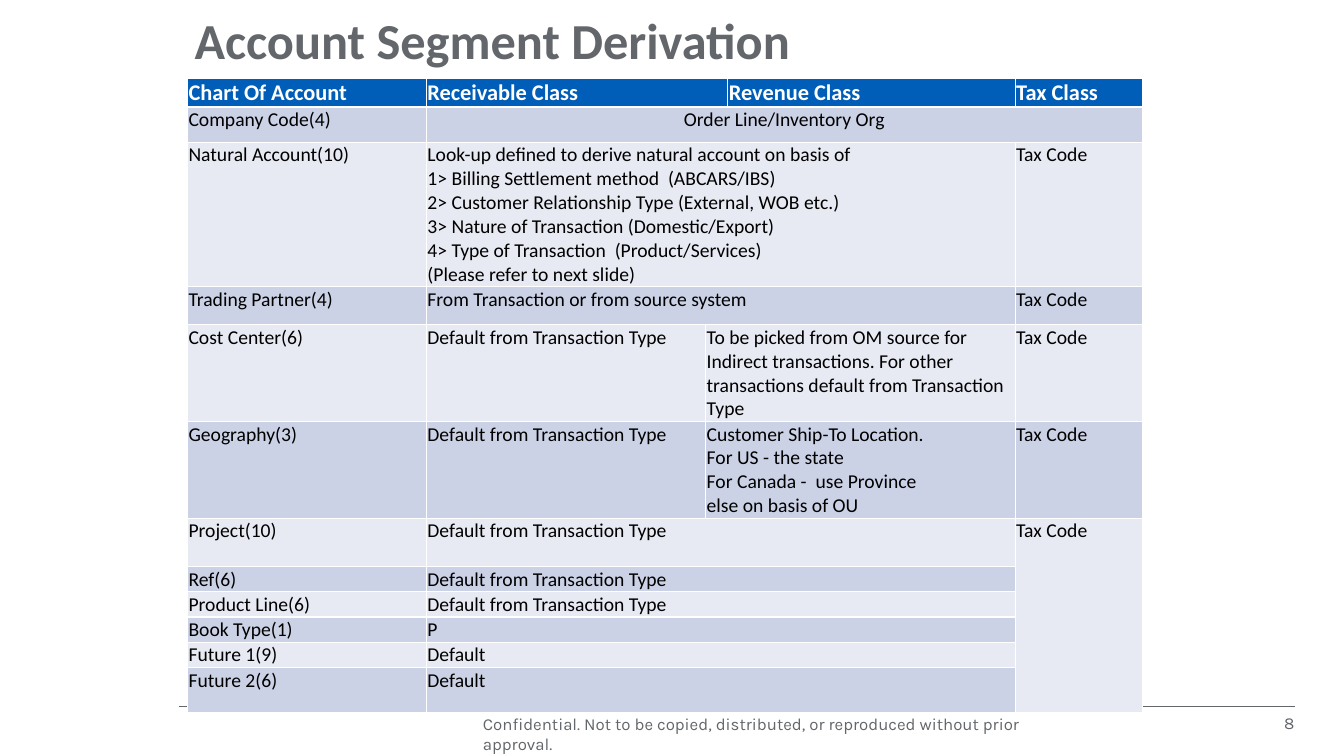
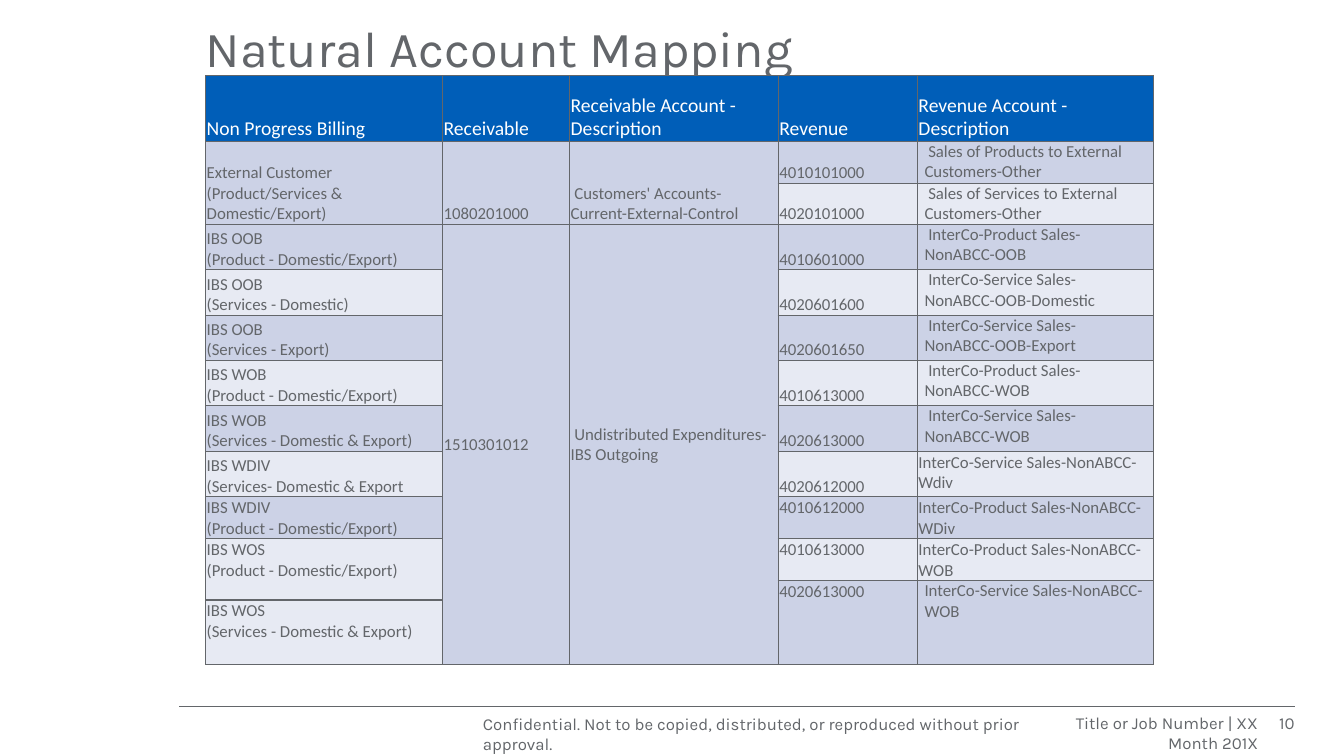
from dataclasses import dataclass, replace

from lxml import etree
from pptx import Presentation
from pptx.dml.color import RGBColor
from pptx.enum import shapes, text
from pptx.oxml import ns
from pptx.util import Pt

PX = 9144  # EMU per px, 100 px to the inch
LEFT_OF, ABOVE = "<", "^"  # cell joins the one to its left / above it


@dataclass(frozen=True)
class Theme:
    grey: str = "63666A"
    blue: str = "005EB8"
    white: str = "FFFFFF"
    black: str = "000000"
    bands: tuple = ("E7EAF3", "CCD2E6")  # even rows, odd rows
    heading: str = "Karla"
    body: str = "Calibri"
    title_size: int = 36
    large: int = 16
    medium: int = 14
    small: int = 12


THEME = Theme()


@dataclass(frozen=True)
class TextStyle:
    font: str = THEME.body
    size: int = THEME.small
    color: str = THEME.grey
    bold: bool = False
    align: text.PP_ALIGN = text.PP_ALIGN.LEFT
    anchor: text.MSO_ANCHOR = text.MSO_ANCHOR.TOP
    spacing: float = 1.0
    after: int = 0
    inset: tuple = (1, 1, 1, 0)  # left, top, right, bottom in px


FOOTER = TextStyle(font=THEME.heading, inset=(0, 0, 0, 0))
TITLE = replace(FOOTER, size=THEME.title_size, spacing=0.9, anchor=text.MSO_ANCHOR.MIDDLE)


class Deck:
    def __init__(self, width, height):
        self.prs = Presentation()
        self.prs.slide_width, self.prs.slide_height = width * PX, height * PX
        self.slide = None

    # Slide with the shared title, rule and footer
    def add_slide(self, title, box, number, style=TITLE, job=None):
        self.slide = self.prs.slides.add_slide(self.prs.slide_layouts[5])
        heading = self.slide.shapes.title
        heading.left, heading.top, heading.width, heading.height = (v * PX for v in box)
        self.set_text(heading.text_frame, title, style)
        self.rule(178, 1284, 701)
        self.label("Confidential. Not to be copied, distributed, or reproduced "
                   "without prior approval.", 479, 564)
        right = replace(FOOTER, align=text.PP_ALIGN.RIGHT, spacing=0.99)
        if job:
            self.label(job, 1043, 205, right)
        self.label(number, 1248, 36, right)

    def rule(self, start, end, y):
        line = self.slide.shapes.add_connector(
            shapes.MSO_CONNECTOR.STRAIGHT, start * PX, y * PX, end * PX, y * PX)
        line.line.color.rgb = RGBColor.from_string(THEME.grey)
        line.line.width = Pt(0.25)
        etree.SubElement(line._element.spPr, ns.qn("a:effectLst"))

    def label(self, words, left, width, style=FOOTER):
        box = self.slide.shapes.add_textbox(left * PX, 708 * PX, width * PX, 20 * PX)
        self.set_text(box.text_frame, words, style)

    # Text: a list holds paragraphs, a newline breaks the line
    def set_text(self, frame, content, style):
        frame.word_wrap = True
        frame.auto_size = text.MSO_AUTO_SIZE.NONE
        self.place_text(frame, style)
        self.fill_paragraphs(frame, content, style)

    def place_text(self, holder, style):
        holder.vertical_anchor = style.anchor
        (holder.margin_left, holder.margin_top,
         holder.margin_right, holder.margin_bottom) = (v * PX for v in style.inset)

    def fill_paragraphs(self, frame, content, style):
        paragraphs = content if isinstance(content, list) else [content]
        for i, words in enumerate(paragraphs):
            para = frame.add_paragraph() if i else frame.paragraphs[0]
            para.alignment = style.align
            para.line_spacing = style.spacing
            para.space_before, para.space_after = Pt(0), Pt(style.after)
            for j, line in enumerate(words.split("\n")):
                if j:
                    para.add_line_break()
                run = para.add_run()
                run.text = line
                run.font.name, run.font.size = style.font, Pt(style.size)
                run.font.bold = style.bold
                run.font.color.rgb = RGBColor.from_string(style.color)

    # Table: style_for(row, column) gives the style of a cell
    def table(self, left, top, widths, heights, rows, border, style_for):
        grid = self.slide.shapes.add_table(
            len(heights), len(widths), left * PX, top * PX,
            sum(widths) * PX, sum(heights) * PX).table
        for column, width in zip(grid.columns, widths):
            column.width = width * PX
        for row, height in zip(grid.rows, heights):
            row.height = height * PX
        for r, row in enumerate(rows):
            for c, content in enumerate(row):
                cell = grid.cell(r, c)
                self.border(cell, border)
                cell.fill.solid()
                cell.fill.fore_color.rgb = RGBColor.from_string(
                    THEME.bands[r % 2] if r else THEME.blue)
                if content in (LEFT_OF, ABOVE):
                    continue
                style = style_for(r, c)
                self.place_text(cell, style)
                self.fill_paragraphs(cell.text_frame, content, style)
                last_row, last_column = r, c
                while last_column + 1 < len(row) and row[last_column + 1] == LEFT_OF:
                    last_column += 1
                while last_row + 1 < len(rows) and rows[last_row + 1][c] == ABOVE:
                    last_row += 1
                if (last_row, last_column) != (r, c):
                    cell.merge(grid.cell(last_row, last_column))

    def border(self, cell, color):
        props = cell._tc.get_or_add_tcPr()
        for side in ("lnL", "lnR", "lnT", "lnB"):
            line = etree.SubElement(props, ns.qn(f"a:{side}"), w=str(Pt(1)))
            fill = etree.SubElement(line, ns.qn("a:solidFill"))
            etree.SubElement(fill, ns.qn("a:srgbClr"), val=color)


# Content
DEFAULT = "Default from Transaction Type"
SEGMENTS = [
    ["Chart Of Account", "Receivable Class", LEFT_OF, "Revenue Class", "Tax Class"],
    ["Company Code(4)", "Order Line/Inventory Org", LEFT_OF, LEFT_OF, LEFT_OF],
    ["Natural Account(10)",
     ["Look-up defined to derive natural account on basis of\n"
      "1> Billing Settlement method  (ABCARS/IBS)\n"
      "2> Customer Relationship Type (External, WOB etc.)\n"
      "3> Nature of Transaction (Domestic/Export)\n"
      "4> Type of Transaction  (Product/Services)",
      "(Please refer to next slide)"], LEFT_OF, LEFT_OF, "Tax Code"],
    ["Trading Partner(4)", "From Transaction or from source system",
     LEFT_OF, LEFT_OF, "Tax Code"],
    ["Cost Center(6)", DEFAULT,
     "To be picked from OM source for Indirect transactions. For other "
     "transactions default from Transaction Type", LEFT_OF, "Tax Code"],
    ["Geography(3)", DEFAULT,
     "Customer Ship-To Location.\nFor US - the state\n"
     "For Canada -  use Province\nelse on basis of OU", LEFT_OF, "Tax Code"],
    ["Project(10)", DEFAULT, LEFT_OF, LEFT_OF, "Tax Code"],
] + [[segment, source, LEFT_OF, LEFT_OF, ABOVE] for segment, source in (
    ("Ref(6)", DEFAULT), ("Product Line(6)", DEFAULT), ("Book Type(1)", "P"),
    ("Future 1(9)", "Default"), ("Future 2(6)", "Default"))]

MAPPING = [
    ["Non Progress Billing", "Receivable", "Receivable Account - Description",
     "Revenue", "Revenue Account - Description"],
    ["External Customer\n(Product/Services & Domestic/Export)", "1080201000",
     " Customers' Accounts-Current-External-Control", "4010101000",
     " Sales of Products to External Customers-Other"],
    [ABOVE, ABOVE, ABOVE, "4020101000", " Sales of Services to External Customers-Other"],
    ["IBS OOB\n(Product - Domestic/Export)", "1510301012",
     " Undistributed Expenditures-IBS Outgoing", "4010601000",
     " InterCo-Product Sales-NonABCC-OOB"],
] + [[billing, ABOVE, ABOVE, revenue, description] for billing, revenue, description in (
    ("IBS OOB\n(Services - Domestic)", "4020601600",
     " InterCo-Service Sales-NonABCC-OOB-Domestic"),
    ("IBS OOB\n(Services - Export)", "4020601650",
     " InterCo-Service Sales-NonABCC-OOB-Export"),
    ("IBS WOB\n(Product - Domestic/Export)", "4010613000",
     " InterCo-Product Sales-NonABCC-WOB"),
    ("IBS WOB\n(Services - Domestic & Export)", "4020613000",
     " InterCo-Service Sales-NonABCC-WOB"),
    (["IBS WDIV", "(Services- Domestic & Export"], "4020612000",
     "InterCo-Service Sales-NonABCC-Wdiv"),
    ("IBS WDIV\n(Product - Domestic/Export)", "4010612000",
     "InterCo-Product Sales-NonABCC-WDiv"),
    ("IBS WOS\n(Product - Domestic/Export)", "4010613000",
     "InterCo-Product Sales-NonABCC-WOB"),
    (ABOVE, "4020613000", "InterCo-Service Sales-NonABCC-WOB"),
    ("IBS WOS\n(Services - Domestic & Export)", ABOVE, ABOVE))]


# Cell styles
def segment_style(row, column):
    if row == 0:
        return TextStyle(size=THEME.large, color=THEME.white, bold=True)
    centred = row == 1 and column == 1
    return TextStyle(size=THEME.medium, color=THEME.black,
                     align=text.PP_ALIGN.CENTER if centred else text.PP_ALIGN.LEFT)


def mapping_style(row, column):
    bottom = TextStyle(anchor=text.MSO_ANCHOR.BOTTOM)
    if row == 0:
        return replace(bottom, size=THEME.medium, color=THEME.white)
    if column == 4:
        indented = row < 8 or row == 11
        return TextStyle(inset=(7, 0, 7, 0)) if indented else TextStyle()
    if row == 3 and column in (1, 2):
        return TextStyle(anchor=text.MSO_ANCHOR.MIDDLE)
    if row == 2:
        return replace(bottom, spacing=1.07, after=14)
    return bottom if row < 9 else TextStyle()


def main():
    deck = Deck(1333, 750)

    # Account segments
    deck.add_slide("Account Segment Derivation", (193, 8, 913, 70), "8",
                   replace(TITLE, font=THEME.body, bold=True))
    deck.table(186, 78, [237, 277, 22, 285, 126],
               [28, 35, 143, 38, 96, 96, 48, 25, 25, 25, 25, 45],
               SEGMENTS, THEME.white, segment_style)

    # Natural accounts
    deck.add_slide("Natural Account Mapping", (204, 18, 913, 66), "10",
                   job="Title or Job Number | XX Month 201X")
    deck.table(204, 75, [235, 126, 207, 138, 234],
               [65, 42, 37] + [45] * 6 + [42, 39, 19, 64],
               MAPPING, THEME.grey, mapping_style)

    deck.prs.save("out.pptx")


if __name__ == "__main__":
    main()
